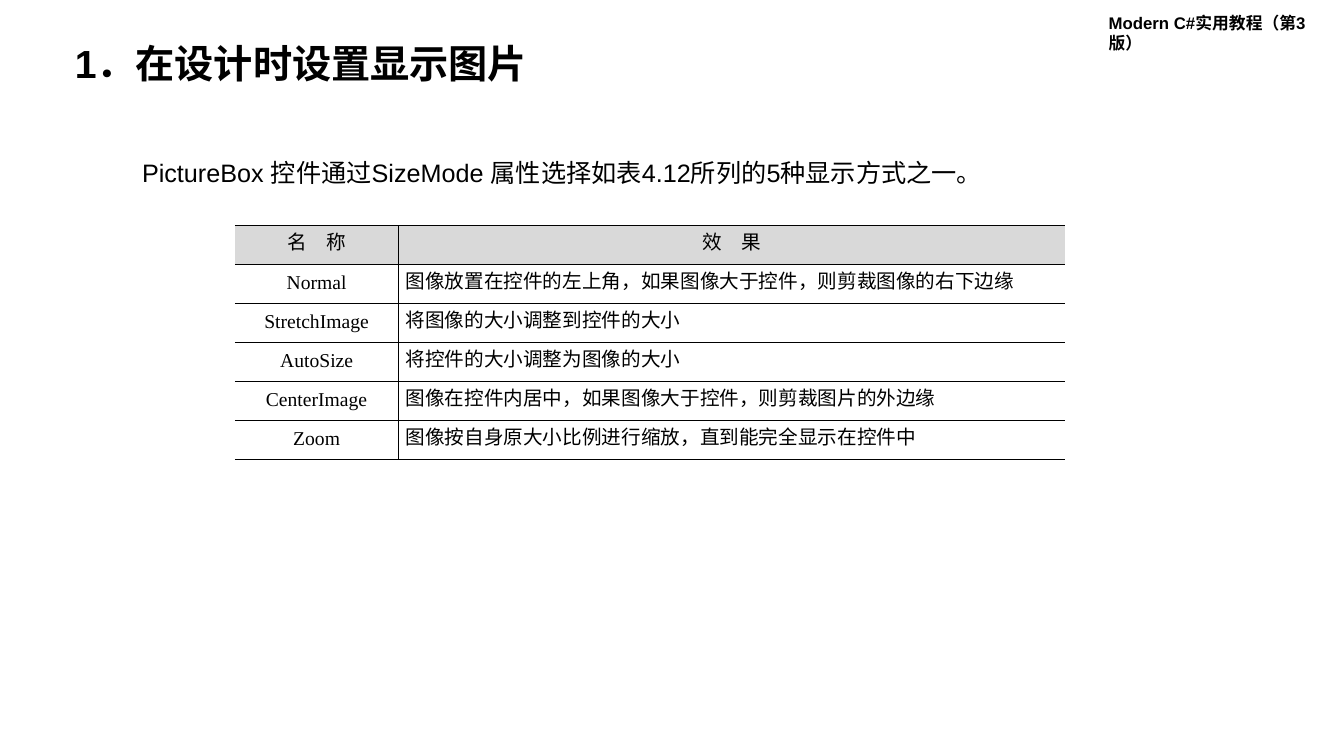
from lxml import etree
from pptx import Presentation
from pptx.dml.color import RGBColor
from pptx.enum.text import MSO_ANCHOR, MSO_AUTO_SIZE, PP_ALIGN
from pptx.oxml.ns import qn
from pptx.util import Cm, Pt

LEFT = PP_ALIGN.LEFT
CENTER = PP_ALIGN.CENTER
JUSTIFY = PP_ALIGN.JUSTIFY
MIDDLE = MSO_ANCHOR.MIDDLE
FIT_SHAPE = MSO_AUTO_SIZE.SHAPE_TO_FIT_TEXT
NO_FIT = MSO_AUTO_SIZE.NONE

TITLE_ONLY_LAYOUT = 5
BLACK = "000000"
HEADER_GRAY = "D9D9D9"
WHITE = "FFFFFF"
SANS = "Arial"
SERIF = "Times New Roman"

DISPLAY_MODES = [
    ("名　称", "效　果"),
    ("Normal", "图像放置在控件的左上角，如果图像大于控件，则剪裁图像的右下边缘"),
    ("StretchImage", "将图像的大小调整到控件的大小"),
    ("AutoSize", "将控件的大小调整为图像的大小"),
    ("CenterImage", "图像在控件内居中，如果图像大于控件，则剪裁图片的外边缘"),
    ("Zoom", "图像按自身原大小比例进行缩放，直到能完全显示在控件中"),
]


def color(hex_string):
    return RGBColor.from_string(hex_string)


def add_run(paragraph, text, font_name, size, bold=False):
    run = paragraph.add_run()
    run.text = text
    run.font.name = font_name
    run.font.size = Pt(size)
    run.font.bold = bold
    run.font.color.rgb = color(BLACK)


def add_text(slide, box, text, size, bold=False):
    shape = slide.shapes.add_textbox(*[Cm(length) for length in box])
    frame = shape.text_frame
    frame.word_wrap = True
    frame.auto_size = FIT_SHAPE
    add_run(frame.paragraphs[0], text, SANS, size, bold)


def add_title(slide, box, text):
    title = slide.shapes.title
    title.left, title.top, title.width, title.height = [Cm(length) for length in box]
    frame = title.text_frame
    frame.word_wrap = True
    frame.auto_size = NO_FIT
    frame.vertical_anchor = MIDDLE
    paragraph = frame.paragraphs[0]
    paragraph.alignment = LEFT
    paragraph.line_spacing = 0.9
    add_run(paragraph, text, SANS, 28, True)


def set_borders(cell, visible_sides):
    properties = cell._tc.get_or_add_tcPr()
    for side in "LRTB":
        line = etree.SubElement(properties, qn(f"a:ln{side}"), w=str(Pt(1)))
        if side in visible_sides:
            fill = etree.SubElement(line, qn("a:solidFill"))
            etree.SubElement(fill, qn("a:srgbClr"), val=BLACK)
        else:
            etree.SubElement(line, qn("a:noFill"))


def fill_cell(cell, text, alignment, background, visible_sides):
    set_borders(cell, visible_sides)
    cell.fill.solid()
    cell.fill.fore_color.rgb = color(background)
    cell.vertical_anchor = MIDDLE
    cell.margin_left = cell.margin_right = Cm(0.18)
    cell.margin_top = cell.margin_bottom = 0
    paragraph = cell.text_frame.paragraphs[0]
    paragraph.alignment = alignment
    paragraph.line_spacing = Pt(14)
    add_run(paragraph, text, SERIF, 14)


def add_mode_table(slide, box, name_width):
    left, top, width, height = box
    row_count = len(DISPLAY_MODES)
    frame = slide.shapes.add_table(
        row_count, 2, Cm(left), Cm(top), Cm(width), Cm(height)
    )
    table = frame.table
    table.first_row = False
    table.horz_banding = False
    table.columns[0].width = Cm(name_width)
    table.columns[1].width = Cm(width - name_width)
    for index, (name, effect) in enumerate(DISPLAY_MODES):
        is_header = index == 0
        background = HEADER_GRAY if is_header else WHITE
        effect_alignment = CENTER if is_header else JUSTIFY
        table.rows[index].height = Cm(height / row_count)
        fill_cell(table.cell(index, 0), name, CENTER, background, "RTB")
        fill_cell(table.cell(index, 1), effect, effect_alignment, background, "LTB")


def main():
    presentation = Presentation()
    presentation.slide_width = Cm(33.87)
    presentation.slide_height = Cm(19.05)
    slide = presentation.slides.add_slide(presentation.slide_layouts[TITLE_ONLY_LAYOUT])
    add_text(slide, (27.69, 0.2, 6.18, 0.76), "Modern C#实用教程（第3版）", 12, True)
    add_title(slide, (1.63, 0.99, 16.1, 1.32), "1．在设计时设置显示图片")
    add_text(
        slide,
        (3.33, 3.84, 22.7, 1.02),
        "PictureBox 控件通过SizeMode 属性选择如表4.12所列的5种显示方式之一。",
        18,
    )
    add_mode_table(slide, (5.92, 5.69, 20.93, 5.9), 4.12)
    presentation.save("out.pptx")


if __name__ == "__main__":
    main()
